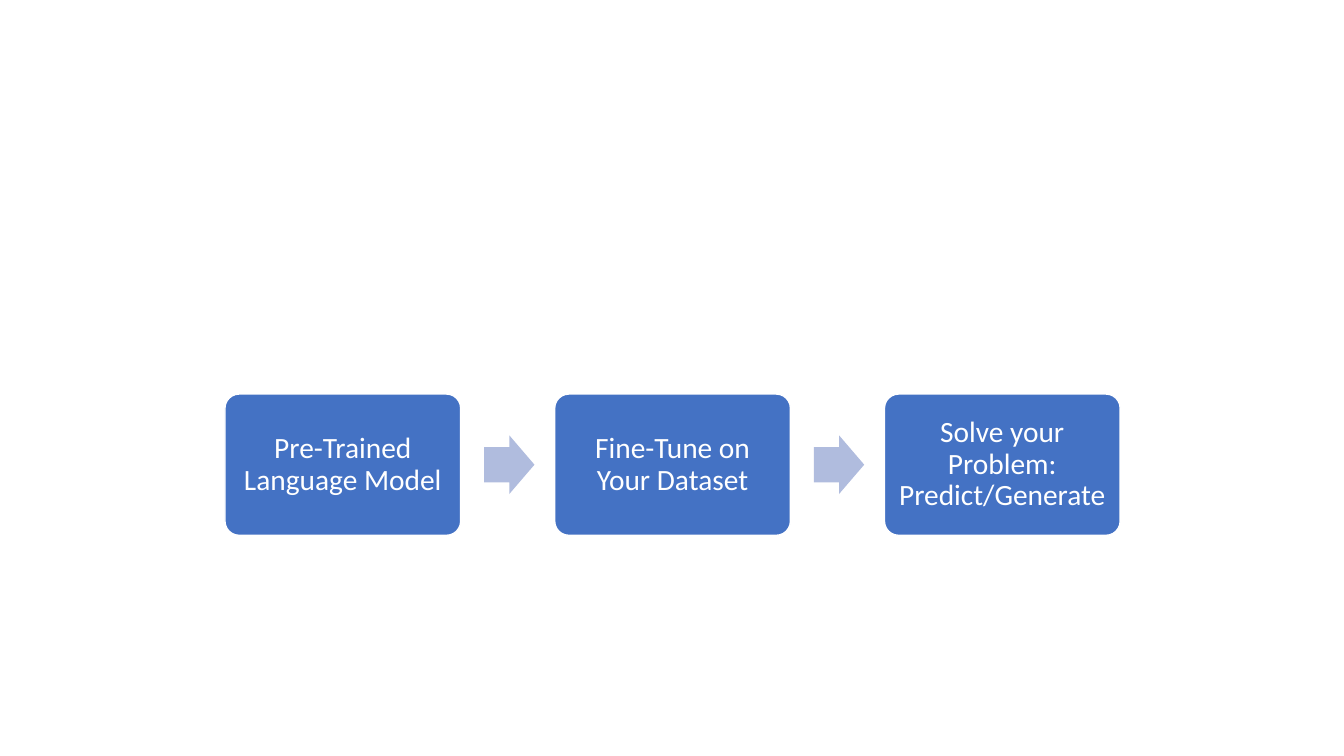
from pptx import Presentation
from pptx.dml.color import RGBColor
from pptx.enum.shapes import MSO_SHAPE
from pptx.enum.text import MSO_ANCHOR, PP_ALIGN
from pptx.util import Cm, Pt

COLORS = {"step": "4472C4", "arrow": "B0BCDE", "white": "FFFFFF"}
STEPS = [
    "Pre-Trained Language Model",
    "Fine-Tune on Your Dataset",
    "Solve your Problem: Predict/Generate",
]
LEFT, CENTER_Y, PITCH = 5.67, 11.71, 8.31
STEP_W, STEP_H = 5.94, 3.56
ARROW_OFFSET, ARROW_W, ARROW_H = 6.53, 1.27, 1.48


def add_centered(preset, left, width, height, color):
    """Add a filled shape whose middle lies on the row's centre line."""
    shape = slide.shapes.add_shape(
        preset, Cm(left), Cm(CENTER_Y - height / 2), Cm(width), Cm(height))
    shape.shadow.inherit = False
    shape.fill.solid()
    shape.fill.fore_color.rgb = RGBColor.from_string(COLORS[color])
    return shape


prs = Presentation()
prs.slide_width, prs.slide_height = Cm(33.87), Cm(19.05)
slide = prs.slides.add_slide(prs.slide_layouts[6])

for index, wording in enumerate(STEPS):
    left = LEFT + index * PITCH
    step = add_centered(MSO_SHAPE.ROUNDED_RECTANGLE, left, STEP_W, STEP_H, "step")
    step.adjustments[0] = 0.1
    step.line.color.rgb = RGBColor.from_string(COLORS["white"])
    step.line.width = Pt(1)

    frame = step.text_frame
    frame.word_wrap = True
    frame.vertical_anchor = MSO_ANCHOR.MIDDLE
    frame.margin_left = frame.margin_right = Cm(0.2)
    frame.margin_top = frame.margin_bottom = Cm(0.2)
    paragraph = frame.paragraphs[0]
    paragraph.alignment = PP_ALIGN.CENTER
    paragraph.line_spacing = 0.9
    run = paragraph.add_run()
    run.text = wording
    run.font.name = "Calibri"
    run.font.size = Pt(21)
    run.font.color.rgb = RGBColor.from_string(COLORS["white"])

    if index < len(STEPS) - 1:
        arrow = add_centered(
            MSO_SHAPE.RIGHT_ARROW, left + ARROW_OFFSET, ARROW_W, ARROW_H, "arrow")
        arrow.adjustments[0] = 0.6
        arrow.adjustments[1] = 0.5
        arrow.line.fill.background()

prs.save("out.pptx")
